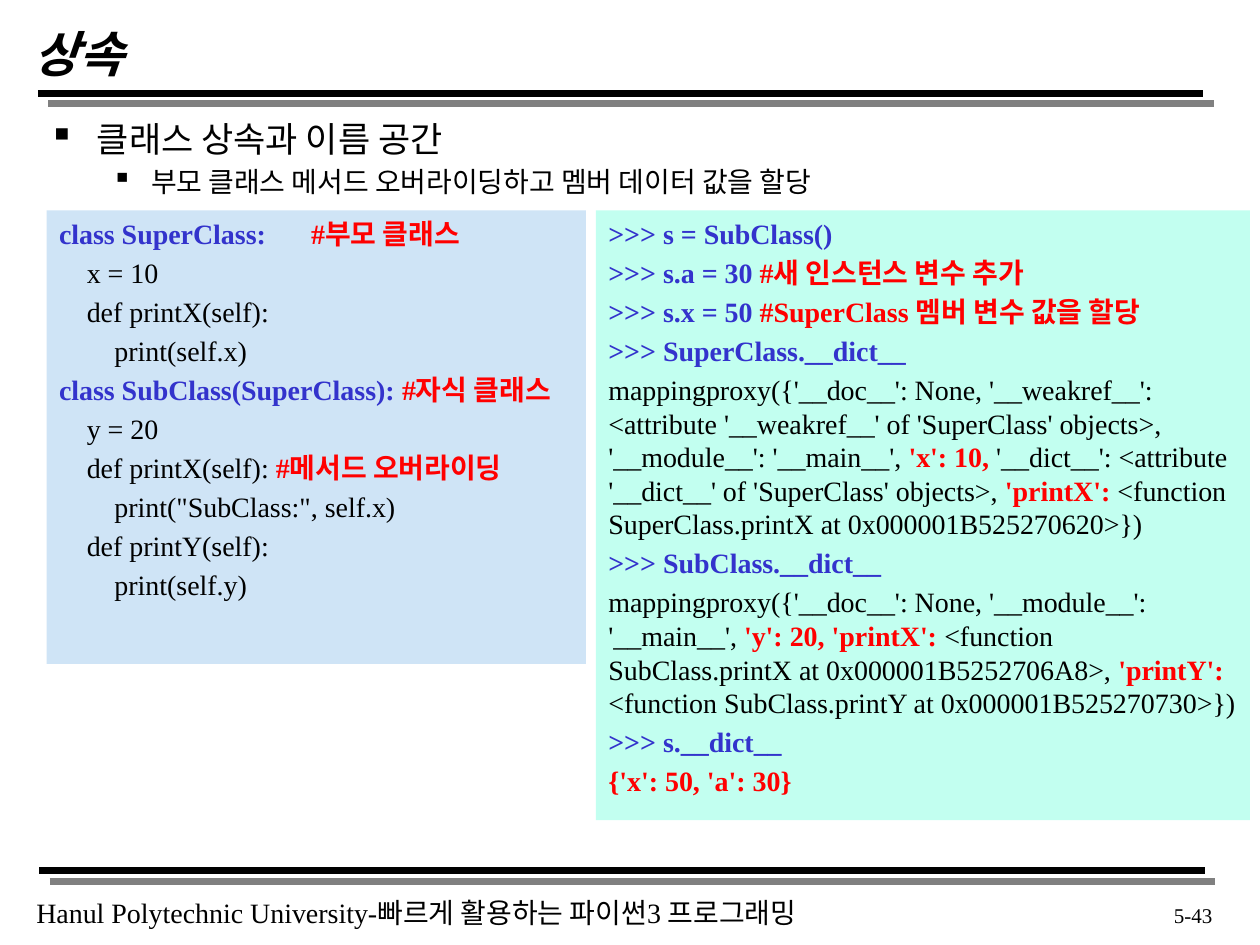
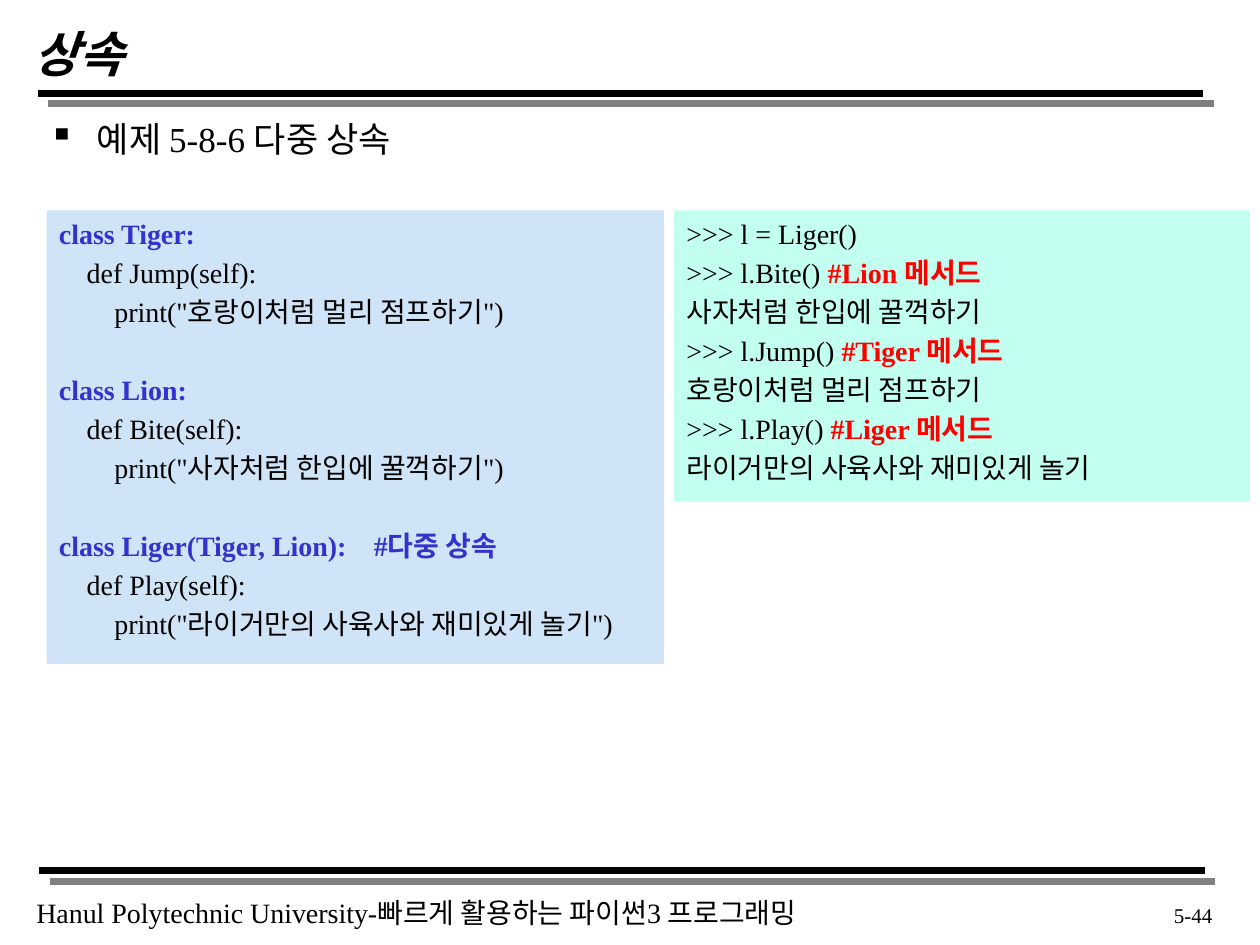
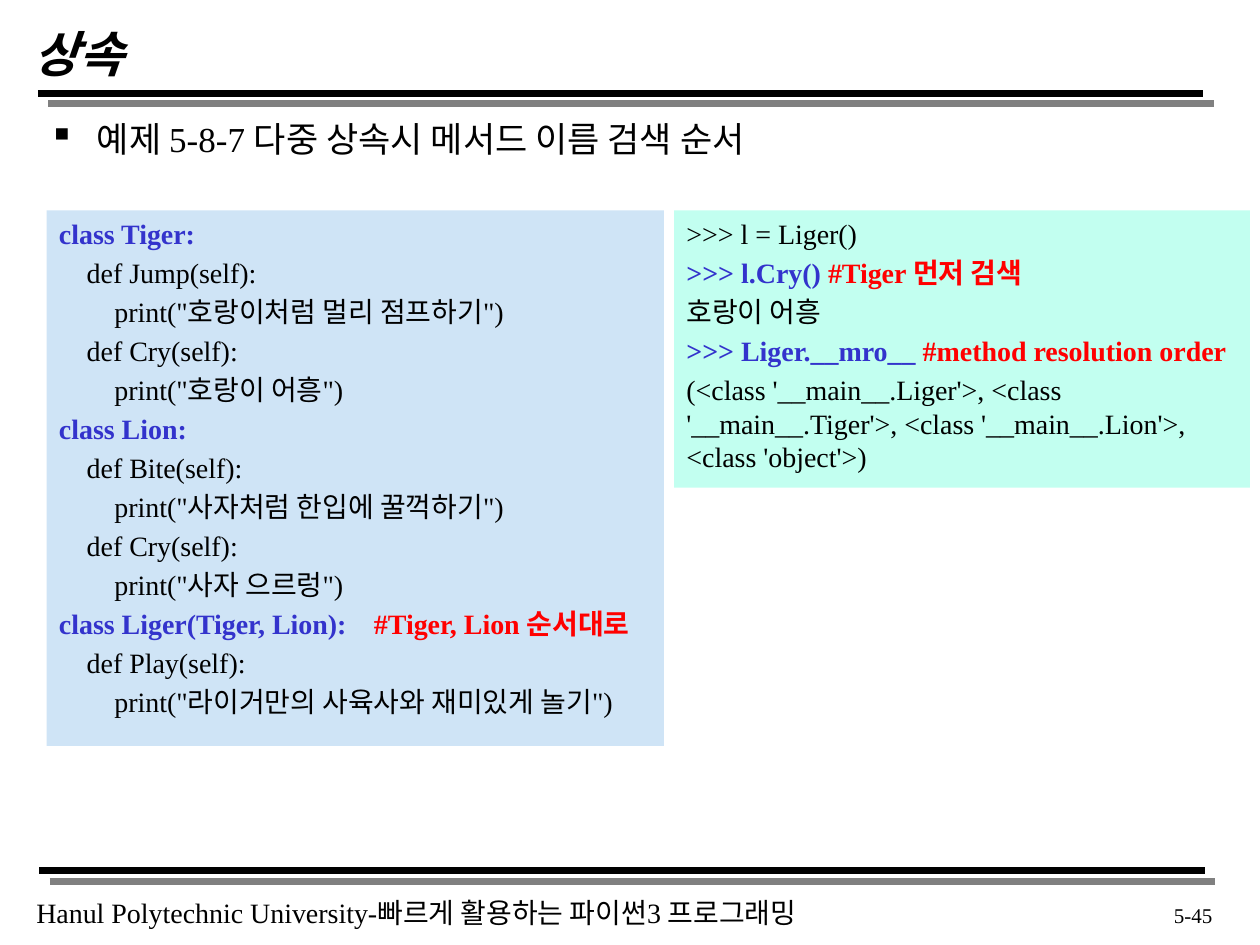
from lxml import etree
from pptx import Presentation
from pptx.dml.color import RGBColor
from pptx.enum.shapes import MSO_CONNECTOR, MSO_SHAPE
from pptx.enum.text import MSO_ANCHOR, PP_ALIGN
from pptx.oxml import parse_xml
from pptx.oxml.ns import nsdecls, qn
from pptx.util import Inches, Pt

BLACK = RGBColor(0x00, 0x00, 0x00)
BLUE = RGBColor(0x33, 0x33, 0xCC)
RED = RGBColor(0xFF, 0x00, 0x00)
CODE_FILL = RGBColor(0xCF, 0xE4, 0xF6)
OUTPUT_FILL = RGBColor(0xC2, 0xFF, 0xF0)

FONT = "Times New Roman"
TITLE = "상속"
FOOTER = "Hanul Polytechnic University-빠르게 활용하는 파이썬3 프로그래밍"
FIRST_PAGE = 43
RULES = [(1.05, 9.55, 0.74), (0.3, 9.55, 0.74), (1.06, 9.56, 6.91), (0.31, 9.56, 6.91)]
BULLETS = [dict(size=20, margin=0.38, hang=0.38, before=4),
           dict(size=16, margin=0.81, hang=0.31, before=3.1)]
BOX_TOP = 1.67
CODE_LEFT = 0.37
BOX_RIGHT = 9.92
BOX_GAP = 0.08
CODE_INDENT = 0.22
LINE_SPACE = 3.1
BLANK_LINE = 22.3

SHADOW = (f'<a:effectLst {nsdecls("a")}><a:outerShdw dist="107950" dir="2700000" '
          'algn="ctr" rotWithShape="0"><a:srgbClr val="808080"/></a:outerShdw></a:effectLst>')

# Code lines are (indent level, (text, colour), ...); coloured text is bold.
# A tab in a line jumps to the stop set for it in "tabs", in inches.
SLIDES = [
    dict(
        bullets=["클래스 상속과 이름 공간",
                 "부모 클래스 메서드 오버라이딩하고 멤버 데이터 값을 할당"],
        code_size=(4.28, 3.6), output_height=4.84, class_gap=0,
        tabs={0: 2.0, 6: 1.61},
        code=[
            (0, ("class SuperClass:\t", BLUE), ("#부모 클래스", RED)),
            (1, ("x = 10", BLACK)),
            (1, ("def printX(self):", BLACK)),
            (2, ("print(self.x)", BLACK)),
            (0, ("class SubClass(SuperClass): ", BLUE), ("#자식 클래스", RED)),
            (1, ("y = 20", BLACK)),
            (1, ("def printX(self):\t", BLACK), ("#메서드 오버라이딩", RED)),
            (2, ('print("SubClass:", self.x)', BLACK)),
            (1, ("def printY(self):", BLACK)),
            (2, ("print(self.y)", BLACK)),
        ],
        output=[
            (0, (">>> s = SubClass()", BLUE)),
            (0, (">>> s.a = 30 ", BLUE), ("#새 인스턴스 변수 추가", RED)),
            (0, (">>> s.x = 50 ", BLUE), ("#SuperClass 멤버 변수 값을 할당", RED)),
            (0, (">>> SuperClass.__dict__", BLUE)),
            (0, ("mappingproxy({'__doc__': None, '__weakref__': <attribute '__weakref__' "
                 "of 'SuperClass' objects>, '__module__': '__main__', ", BLACK),
             ("'x': 10, ", RED),
             ("'__dict__': <attribute '__dict__' of 'SuperClass' objects>, ", BLACK),
             ("'printX': ", RED),
             ("<function SuperClass.printX at 0x000001B525270620>})", BLACK)),
            (0, (">>> SubClass.__dict__", BLUE)),
            (0, ("mappingproxy({'__doc__': None, '__module__': '__main__', ", BLACK),
             ("'y': 20, 'printX': ", RED),
             ("<function SubClass.printX at 0x000001B5252706A8>, ", BLACK),
             ("'printY': ", RED),
             ("<function SubClass.printY at 0x000001B525270730>})", BLACK)),
            (0, (">>> s.__dict__", BLUE)),
            (0, ("{'x': 50, 'a': 30}", RED)),
        ],
    ),
    dict(
        bullets=["예제 5-8-6 다중 상속"],
        code_size=(4.9, 3.6), output_height=2.31, class_gap=BLANK_LINE,
        tabs={6: 2.44},
        code=[
            (0, ("class Tiger:", BLUE)),
            (1, ("def Jump(self):", BLACK)),
            (2, ('print("호랑이처럼 멀리 점프하기")', BLACK)),
            (0, ("class Lion:", BLUE)),
            (1, ("def Bite(self):", BLACK)),
            (2, ('print("사자처럼 한입에 꿀꺽하기")', BLACK)),
            (0, ("class Liger(Tiger, Lion):\t#다중 상속", BLUE)),
            (1, ("def Play(self):", BLACK)),
            (2, ('print("라이거만의 사육사와 재미있게 놀기")', BLACK)),
        ],
        output=[
            (0, (">>> l = Liger()", BLACK)),
            (0, (">>> l.Bite() ", BLACK), ("#Lion 메서드", RED)),
            (0, ("사자처럼 한입에 꿀꺽하기", BLACK)),
            (0, (">>> l.Jump() ", BLACK), ("#Tiger 메서드", RED)),
            (0, ("호랑이처럼 멀리 점프하기", BLACK)),
            (0, (">>> l.Play() ", BLACK), ("#Liger 메서드", RED)),
            (0, ("라이거만의 사육사와 재미있게 놀기", BLACK)),
        ],
    ),
    dict(
        bullets=["예제 5-8-7 다중 상속시 메서드 이름 검색 순서"],
        code_size=(4.9, 4.25), output_height=2.2, class_gap=0,
        tabs={10: 2.5},
        code=[
            (0, ("class Tiger:", BLUE)),
            (1, ("def Jump(self):", BLACK)),
            (2, ('print("호랑이처럼 멀리 점프하기")', BLACK)),
            (1, ("def Cry(self):", BLACK)),
            (2, ('print("호랑이 어흥")', BLACK)),
            (0, ("class Lion:", BLUE)),
            (1, ("def Bite(self):", BLACK)),
            (2, ('print("사자처럼 한입에 꿀꺽하기")', BLACK)),
            (1, ("def Cry(self):", BLACK)),
            (2, ('print("사자 으르렁")', BLACK)),
            (0, ("class Liger(Tiger, Lion):\t", BLUE), ("#Tiger, Lion 순서대로", RED)),
            (1, ("def Play(self):", BLACK)),
            (2, ('print("라이거만의 사육사와 재미있게 놀기")', BLACK)),
        ],
        output=[
            (0, (">>> l = Liger()", BLACK)),
            (0, (">>> l.Cry() ", BLUE), ("#Tiger 먼저 검색", RED)),
            (0, ("호랑이 어흥", BLACK)),
            (0, (">>> Liger.__mro__ ", BLUE), ("#method resolution order", RED)),
            (0, ("(<class '__main__.Liger'>, <class '__main__.Tiger'>, "
                 "<class '__main__.Lion'>, <class 'object'>)", BLACK)),
        ],
    ),
]


def add_text(tf, *runs, size=16, bold=False, italic=False, align=PP_ALIGN.LEFT,
             before=0, margin=0, hang=0, tab=None):
    """Add one paragraph of (text, colour) runs; a hanging indent gets a bullet."""
    p = tf.paragraphs[0]
    if p.runs:
        p = tf.add_paragraph()
    p.alignment = align
    p.space_before = Pt(before)
    pPr = p._p.get_or_add_pPr()
    pPr.set("marL", str(Inches(margin)))
    pPr.set("indent", str(-Inches(hang)))
    if hang:
        etree.SubElement(pPr, qn("a:buChar"), char="▪")
    if tab:
        stops = etree.SubElement(pPr, qn("a:tabLst"))
        etree.SubElement(stops, qn("a:tab"), pos=str(Inches(tab)), algn="l")
    for text, color in runs:
        r = p.add_run()
        r.text = text
        r.font.name = FONT
        r.font.size = Pt(size)
        r.font.bold = bold or color != BLACK
        r.font.italic = italic
        r.font.color.rgb = color


def add_box(s, left, top, width, height, fill=None):
    """Add a text box, or a filled rectangle, and return its text frame."""
    place = [Inches(n) for n in (left, top, width, height)]
    if fill is None:
        sp = s.shapes.add_textbox(*place)
    else:
        sp = s.shapes.add_shape(MSO_SHAPE.RECTANGLE, *place)
        sp.shadow.inherit = False
        sp.fill.solid()
        sp.fill.fore_color.rgb = fill
        sp.line.fill.background()
    tf = sp.text_frame
    tf.word_wrap = True
    tf.vertical_anchor = MSO_ANCHOR.TOP
    return tf


prs = Presentation()
prs.slide_width = Inches(10)
prs.slide_height = Inches(7.5)

for page, content in enumerate(SLIDES, FIRST_PAGE):
    s = prs.slides.add_slide(prs.slide_layouts[6])

    for start, end, y in RULES:
        rule = s.shapes.add_connector(MSO_CONNECTOR.STRAIGHT, Inches(start), Inches(y),
                                      Inches(end), Inches(y))
        rule.line.color.rgb = BLACK
        rule.line.width = Pt(4)
        rule._element.spPr.append(parse_xml(SHADOW))

    tf = add_box(s, 0.19, 7.06, 6.6, 0.37)
    tf.word_wrap = False
    add_text(tf, (FOOTER, BLACK))

    tf = add_box(s, 0.17, 0.17, 8.5, 0.5)
    tf.vertical_anchor = MSO_ANCHOR.MIDDLE
    add_text(tf, (TITLE, BLACK), size=28, bold=True, italic=True)

    tf = add_box(s, 0.29, 0.88, 9.38, 5.63)
    for bullet, style in zip(content["bullets"], BULLETS):
        add_text(tf, (bullet, BLACK), **style)

    tf = add_box(s, 8.89, 7.11, 0.83, 0.32)
    add_text(tf, (f"5-{page}", BLACK), size=12, align=PP_ALIGN.RIGHT)

    code_width, code_height = content["code_size"]
    tf = add_box(s, CODE_LEFT, BOX_TOP, code_width, code_height, CODE_FILL)
    for i, (level, *runs) in enumerate(content["code"]):
        gap = content["class_gap"] if i and level == 0 else 0
        add_text(tf, *runs, before=LINE_SPACE + gap, margin=level * CODE_INDENT,
                 tab=content["tabs"].get(i))

    output_left = CODE_LEFT + code_width + BOX_GAP
    tf = add_box(s, output_left, BOX_TOP, BOX_RIGHT - output_left,
                 content["output_height"], OUTPUT_FILL)
    for level, *runs in content["output"]:
        add_text(tf, *runs, before=LINE_SPACE)

prs.save("out.pptx")
